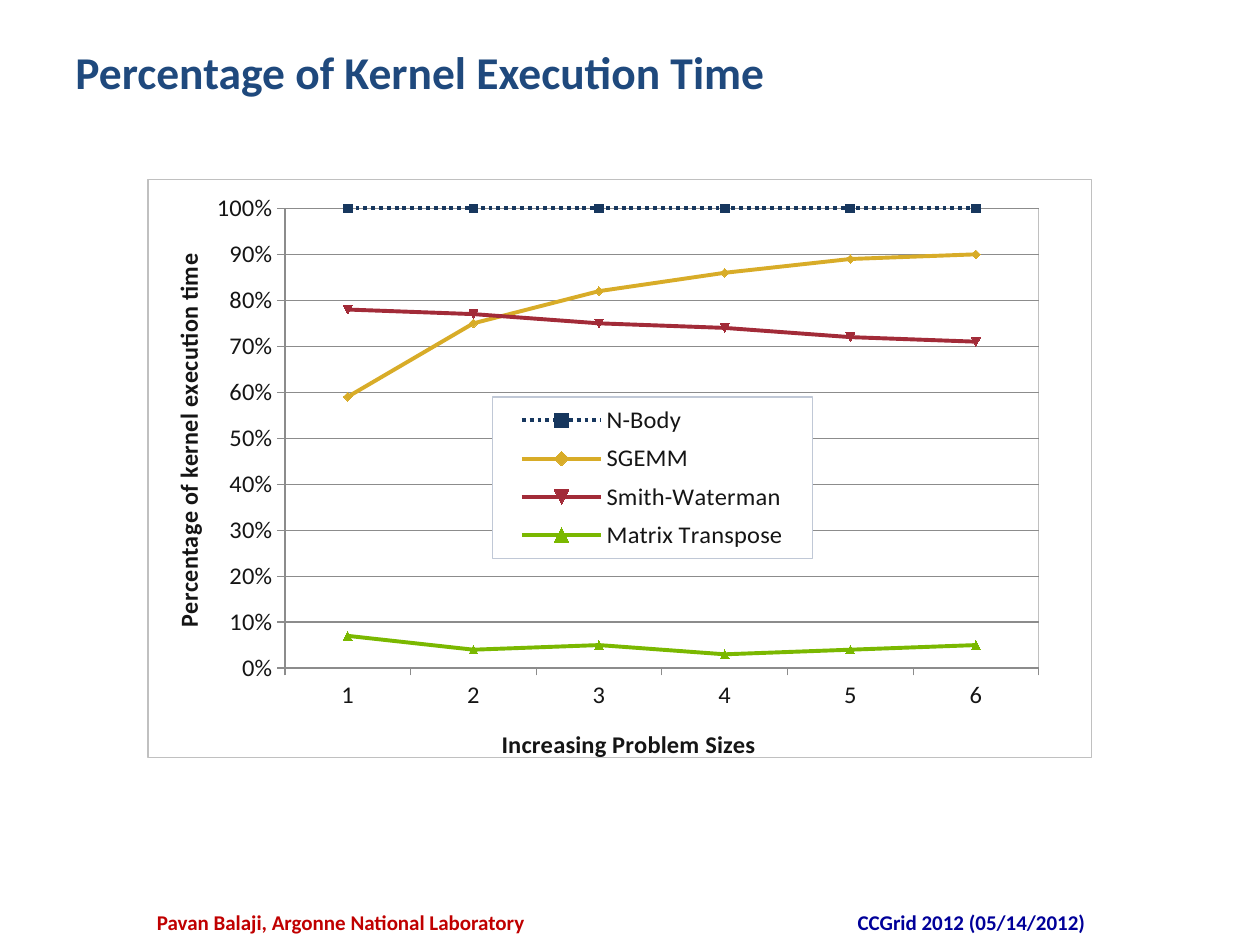
from dataclasses import dataclass

from lxml import etree
from pptx import Presentation
from pptx import util as u
from pptx.chart import data as cd
from pptx.dml import color as col
from pptx.enum import chart as ch, dml, text
from pptx.oxml import ns


@dataclass
class Theme:
    font: str = "Calibri"
    title: str = "1F497D"
    left: str = "C00000"
    right: str = "000099"
    ink: str = "151515"
    grid: str = "8C8C8C"
    frame: str = "C0C0C0"
    key: str = "C0C8D6"
    paper: str = "FFFFFF"
    head: int = 26
    foot: int = 12
    label: int = 14


def rgb(code):
    return col.RGBColor.from_string(code)


def place(prior, x, y, w=None, h=None, inner=False):
    for old in prior.getparent().findall(ns.qn("c:layout")):
        if old is not prior:
            old.getparent().remove(old)
    box = etree.Element(ns.qn("c:layout"))
    man = etree.SubElement(box, ns.qn("c:manualLayout"))
    items = [("layoutTarget", "inner")] if inner else []
    items += [("xMode", "edge"), ("yMode", "edge"), ("x", x), ("y", y)]
    if w:
        items += [("w", w), ("h", h)]
    for tag, val in items:
        etree.SubElement(man, ns.qn("c:" + tag)).set("val", str(val))
    prior.addnext(box)
    if prior.tag == ns.qn("c:layout"):
        prior.getparent().remove(prior)


def frame(prior, fill, line):
    prior.addnext(etree.fromstring(
        f'<c:spPr {ns.nsdecls("c", "a")}>'
        f'<a:solidFill><a:srgbClr val="{fill}"/></a:solidFill>'
        f'<a:ln w="9525"><a:solidFill><a:srgbClr val="{line}"/></a:solidFill></a:ln>'
        '</c:spPr>'))


class Deck:
    def __init__(self, theme):
        self.theme = theme
        self.prs = Presentation()
        self.prs.slide_width, self.prs.slide_height = u.Inches(10), u.Inches(7.5)
        self.slide = self.prs.slides.add_slide(self.prs.slide_layouts[6])

    def style(self, font, size, color, bold=False):
        font.name, font.size, font.bold = self.theme.font, u.Pt(size), bold
        font.color.rgb = rgb(color)

    def label(self, words, spot, size, color, align):
        box = self.slide.shapes.add_textbox(*map(u.Inches, spot)).text_frame
        box.word_wrap = True
        box.text = words
        para = box.paragraphs[0]
        para.alignment = align
        self.style(para.runs[0].font, size, color, True)

    def axis(self, axis, words, x, y):
        t = self.theme
        body = axis.axis_title.text_frame
        body.text = words
        self.style(body.paragraphs[0].runs[0].font, t.label, t.ink, True)
        place(axis.axis_title._element.find(ns.qn("c:tx")), x, y)
        axis.major_tick_mark = ch.XL_TICK_MARK.OUTSIDE
        axis.minor_tick_mark = ch.XL_TICK_MARK.NONE
        axis.format.line.color.rgb = rgb(t.grid)

    def chart(self, spot, cats, rows):
        t = self.theme
        data = cd.CategoryChartData(number_format="0%")
        data.categories = cats
        for name, _, vals in rows:
            data.add_series(name, vals)
        chart = self.slide.shapes.add_chart(
            ch.XL_CHART_TYPE.LINE_MARKERS, *map(u.Inches, spot), data).chart
        chart.has_title = False
        self.style(chart.font, t.label, t.ink)
        plot = chart.plots[0]
        plot.vary_by_categories = False
        for ser, (_, color, _) in zip(plot.series, rows):
            ser.smooth = False
            ser.format.line.width = u.Pt(2.25)
            ser.format.line.color.rgb = rgb(color)
            ser.marker.size = 5
            ser.marker.format.fill.solid()
            ser.marker.format.fill.fore_color.rgb = rgb(color)
            ser.marker.format.line.color.rgb = rgb(color)
        plot.series[0].format.line.dash_style = dml.MSO_LINE.ROUND_DOT

        self.axis(chart.category_axis, "Increasing Problem Sizes", 0.37, 0.94)
        val = chart.value_axis
        self.axis(val, "Percentage of kernel execution time", 0.02, 0.13)
        turn = val.axis_title.text_frame._txBody.bodyPr
        turn.set("rot", "-5400000")
        turn.set("vert", "horz")
        val.minimum_scale, val.maximum_scale, val.major_unit = 0, 1, 0.1
        val.tick_labels.number_format = "0%"
        val.tick_labels.number_format_is_linked = False
        val.has_major_gridlines = True
        val.major_gridlines.format.line.color.rgb = rgb(t.grid)

        chart.has_legend = True
        chart.legend.position = ch.XL_LEGEND_POSITION.RIGHT
        chart.legend.include_in_layout = False
        self.style(chart.legend.font, t.label, t.ink)
        root = chart._chartSpace
        place(root.xpath("//c:legend/c:legendPos")[0], 0.365, 0.376, 0.339, 0.279)
        frame(root.xpath("//c:legend/c:overlay")[0], t.paper, t.key)
        area = root.xpath("//c:plotArea")[0]
        if area.find(ns.qn("c:layout")) is None:
            area.insert(0, etree.Element(ns.qn("c:layout")))
        place(area[0], 0.145, 0.05, 0.799, 0.795, True)
        frame(area[-1], t.paper, t.frame)
        frame(root.xpath("c:chart")[0], t.paper, t.frame)


def main():
    t = Theme()
    deck = Deck(t)
    mid = text.PP_ALIGN.CENTER
    deck.label("Percentage of Kernel Execution Time", (0.5, 0.3, 9, 0.87),
               t.head, t.title, text.PP_ALIGN.LEFT)
    deck.chart((1.17, 1.42, 7.5, 4.67), list("123456"), [
        ("N-Body", "17375E", [1] * 6),
        ("SGEMM", "D8AC28", [0.59, 0.75, 0.82, 0.86, 0.89, 0.9]),
        ("Smith-Waterman", "A22B38", [0.78, 0.77, 0.75, 0.74, 0.72, 0.71]),
        ("Matrix Transpose", "7AB800", [0.07, 0.04, 0.05, 0.03, 0.04, 0.05]),
    ])
    deck.label("Pavan Balaji, Argonne National Laboratory", (1.08, 7.17, 3.25, 0.25),
               t.foot, t.left, mid)
    deck.label("CCGrid 2012 (05/14/2012)", (5.75, 7.17, 3.92, 0.25),
               t.foot, t.right, mid)
    deck.prs.save("out.pptx")


if __name__ == "__main__":
    main()
